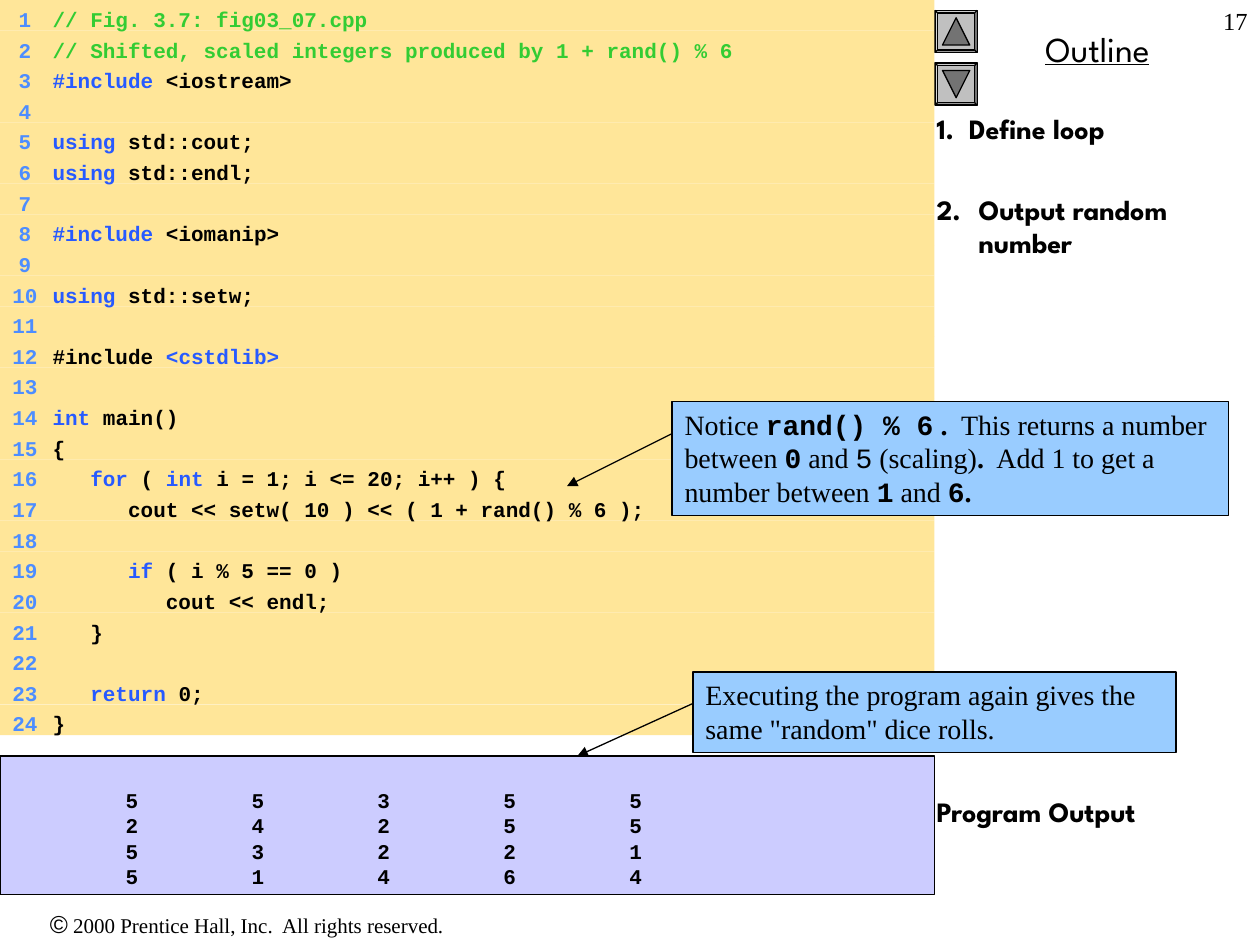
from lxml import etree
from pptx import Presentation
from pptx.dml.color import RGBColor
from pptx.enum.shapes import MSO_CONNECTOR, MSO_SHAPE
from pptx.enum.text import MSO_ANCHOR, PP_ALIGN
from pptx.oxml.ns import qn
from pptx.util import Cm, Pt

RECT, BEVEL, TRIANGLE = MSO_SHAPE.RECTANGLE, MSO_SHAPE.BEVEL, MSO_SHAPE.ISOSCELES_TRIANGLE
TOP, BOTTOM = MSO_ANCHOR.TOP, MSO_ANCHOR.BOTTOM
LEFT, CENTER, RIGHT = PP_ALIGN.LEFT, PP_ALIGN.CENTER, PP_ALIGN.RIGHT
STRAIGHT = MSO_CONNECTOR.STRAIGHT
MONO, SERIF, SANS, HEAD = "Courier New", "Times New Roman", "Arial", "League Spartan"
COLORS = {
    "black": "000000", "code": "FFE699", "number": "4D8DFF", "keyword": "275AFF",
    "comment": "33CC33", "callout": "99CCFF", "output": "CCCCFF",
    "button": "C0C0C0", "arrow": "737373",
}

prs = Presentation()
prs.slide_width, prs.slide_height = Cm(25.4), Cm(19.05)
s = prs.slides.add_slide(prs.slide_layouts[6])


def add_box(x, y, w, h, fill=None, line=False, kind=RECT):
    """Add a filled shape, or a text box when there is no fill."""
    at = Cm(x), Cm(y), Cm(w), Cm(h)
    if fill is None:
        sp = s.shapes.add_textbox(*at)
    else:
        sp = s.shapes.add_shape(kind, *at)
        sp.shadow.inherit = False
        sp.fill.solid()
        sp.fill.fore_color.rgb = RGBColor.from_string(COLORS[fill])
        if line:
            sp.line.color.rgb = RGBColor.from_string(COLORS["black"])
            sp.line.width = Pt(0.75)
        else:
            sp.line.fill.background()
    sp.text_frame.word_wrap = True
    sp.text_frame.vertical_anchor = TOP
    return sp


def add_runs(p, runs, size, align=LEFT):
    """Fill a paragraph with (text, font, bold, color) runs."""
    p.alignment = align
    for text, font, bold, color in runs:
        r = p.add_run()
        r.text = text
        r.font.name, r.font.size, r.font.bold = font, Pt(size), bold
        r.font.color.rgb = RGBColor.from_string(COLORS[color])


# Footer, title and slide number
sp = add_box(0, 18.21, 9.96, 0.86)
add_runs(sp.text_frame.paragraphs[0], [
    ("©", SANS, False, "black"),
    (" 2000 Prentice Hall, Inc.  All rights reserved.", SERIF, False, "black"),
], 12, CENTER)
sp.text_frame.paragraphs[0].runs[0].font.size = Pt(14)

sp = add_box(18.85, 0.43, 6.55, 1.12)
add_runs(sp.text_frame.paragraphs[0], [("Outline", HEAD, False, "black")], 20, CENTER)
sp.text_frame.paragraphs[0].runs[0].font.underline = True

sp = add_box(20.12, 0, 5.28, 1.27)
add_runs(sp.text_frame.paragraphs[0], [("17", SERIF, False, "black")], 14, RIGHT)

# Up and down buttons
for y, turn in ((0.21, 0), (1.27, 180)):
    sp = add_box(18.85, y, 0.85, 0.85, "button", True, BEVEL)
    sp.adjustments[0] = 0.06
    sp = add_box(19, y + 0.15, 0.55, 0.55, "arrow", True, TRIANGLE)
    sp.rotation = turn

# Outline list
tf = add_box(18.63, 2.12, 6.77, 3.5).text_frame
add_runs(tf.paragraphs[0], [("1.  Define loop", HEAD, True, "black")], 16)
p = tf.add_paragraph()
p.space_before = Pt(27)
pPr = p._p.get_or_add_pPr()
pPr.set("marL", str(Cm(0.85)))
pPr.set("indent", str(-Cm(0.85)))
etree.SubElement(pPr, qn("a:buFont"), typeface=HEAD)
etree.SubElement(pPr, qn("a:buAutoNum"), type="arabicPeriod", startAt="2")
add_runs(p, [("Output random number", HEAD, True, "black")], 16)

sp = add_box(18.63, 15.9, 6.77, 1)
add_runs(sp.text_frame.paragraphs[0], [("Program Output", HEAD, True, "black")], 16)

# Code listing, one bar per line
K, C, B = "keyword", "comment", "black"
code = [
    [("// Fig. 3.7: fig03_07.cpp", C)],
    [("// Shifted, scaled integers produced by 1 + rand() % 6", C)],
    [("#include", K), (" <iostream>", B)],
    [],
    [("using", K), (" std::cout;", B)],
    [("using", K), (" std::endl;", B)],
    [],
    [("#include", K), (" <iomanip>", B)],
    [],
    [("using", K), (" std::setw;", B)],
    [],
    [("#include", B), (" <cstdlib>", K)],
    [],
    [("int", K), (" main()", B)],
    [("{", B)],
    [("   for", K), (" ( ", B), ("int", K), (" i = 1; i <= 20; i++ ) {", B)],
    [("      cout << setw( 10 ) << ( 1 + rand() % 6 );", B)],
    [],
    [("      if", K), (" ( i % 5 == 0 )", B)],
    [("         cout << endl;", B)],
    [("   }", B)],
    [],
    [("   return", K), (" 0;", B)],
    [("}", B)],
]
row_h = 14.82 / len(code)
# Bottom row first, so that no bar covers the descenders of the line above
for i, parts in reversed(list(enumerate(code))):
    tf = add_box(0, i * row_h, 18.84, row_h, "code").text_frame
    tf.margin_top = Cm(0.13)
    p = tf.paragraphs[0]
    tabs = etree.SubElement(p._p.get_or_add_pPr(), qn("a:tabLst"))
    for pos, algn in ((0.38, "r"), (0.81, "l")):
        etree.SubElement(tabs, qn("a:tab"), pos=str(Cm(pos)), algn=algn)
    runs = [(f"\t{i + 1}\t", "number")] + parts
    add_runs(p, [(text, MONO, True, color) for text, color in runs], 12)

# Program output
rolls = [(5, 5, 3, 5, 5), (2, 4, 2, 5, 5), (5, 3, 2, 2, 1), (5, 1, 4, 6, 4)]
tf = add_box(0, 15.24, 18.84, 2.79, "output", True).text_frame
tf.vertical_anchor, tf.margin_bottom = BOTTOM, Cm(0.11)
for i, roll in enumerate(rolls):
    p = tf.add_paragraph() if i else tf.paragraphs[0]
    p.line_spacing = Pt(14.5)
    add_runs(p, [("".join(f"{n:10}" for n in roll), MONO, True, "black")], 12)

# Callouts with their arrows
callouts = [
    ((13.55, 8.1, 11.22, 2.29), (13.55, 8.74, 11.43, 9.8), [
        ("Notice ", SERIF, False), ("rand() % 6", MONO, True), (" .", SERIF, True),
        ("  This returns a number between ", SERIF, False), ("0", MONO, True),
        (" and ", SERIF, False), ("5", MONO, False), (" (scaling)", SERIF, False),
        (".", SERIF, True), ("  Add 1 to get a number between ", SERIF, False),
        ("1", MONO, True), (" and ", SERIF, False), ("6", MONO, True), (".", SERIF, True),
    ]),
    ((13.97, 13.55, 9.74, 1.62), (13.97, 14.18, 11.64, 15.24), [
        ('Executing the program again gives the same "random" dice rolls.', SERIF, False),
    ]),
]
for place, ends, runs in callouts:
    p = add_box(*place, "callout", True).text_frame.paragraphs[0]
    p.line_spacing = Pt(19)
    add_runs(p, [(*run, "black") for run in runs], 16)
    cn = s.shapes.add_connector(STRAIGHT, *map(Cm, ends))
    cn.line.color.rgb = RGBColor.from_string(COLORS["black"])
    cn.line.width = Pt(0.75)
    etree.SubElement(cn.line._get_or_add_ln(), qn("a:tailEnd"), type="triangle")
    etree.SubElement(cn._element.spPr, qn("a:effectLst"))

prs.save("out.pptx")
